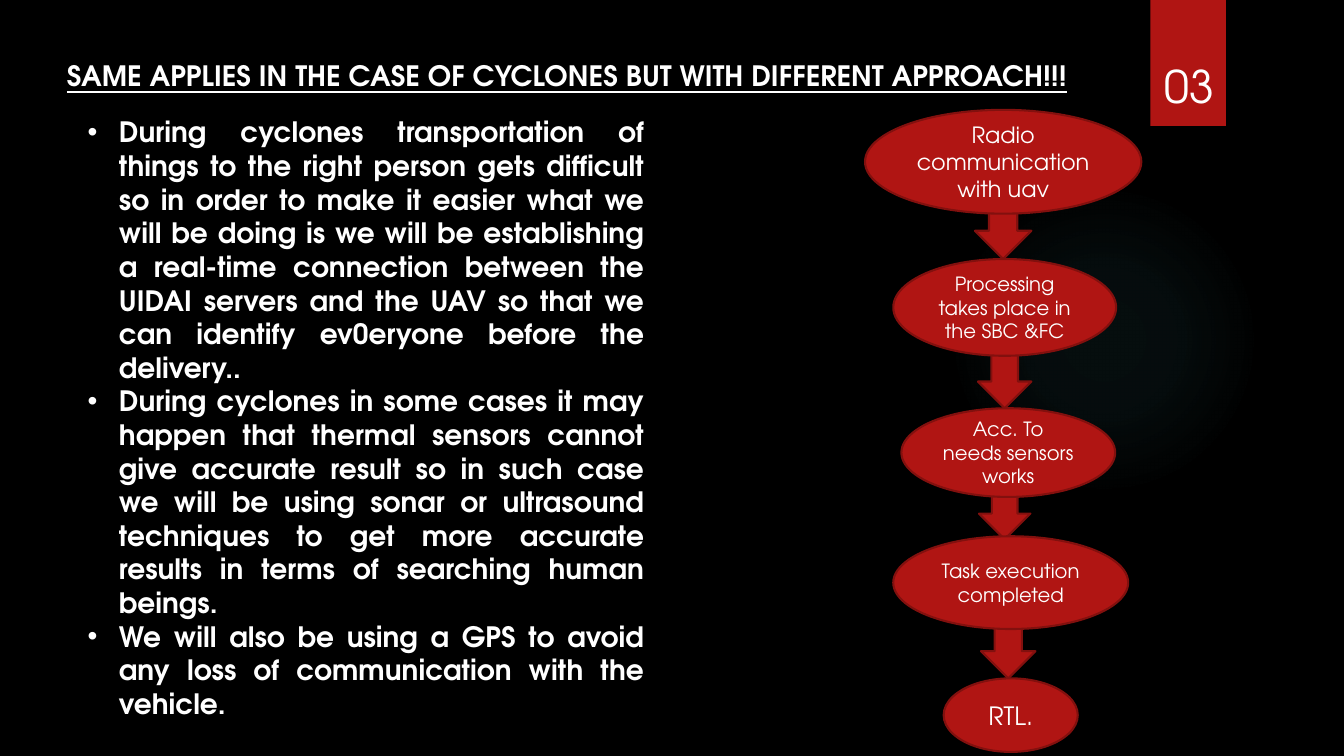
from lxml import etree
from pptx import Presentation
from pptx.dml.color import RGBColor
from pptx.enum.shapes import MSO_SHAPE
from pptx.enum.text import MSO_ANCHOR, MSO_AUTO_SIZE, PP_ALIGN
from pptx.oxml import parse_xml
from pptx.oxml.ns import nsdecls, qn
from pptx.util import Inches, Pt

OVAL, RECTANGLE, DOWN_ARROW = MSO_SHAPE.OVAL, MSO_SHAPE.RECTANGLE, MSO_SHAPE.DOWN_ARROW
TOP, MIDDLE = MSO_ANCHOR.TOP, MSO_ANCHOR.MIDDLE
NO_AUTOFIT = MSO_AUTO_SIZE.NONE
LEFT, CENTER, JUSTIFY = PP_ALIGN.LEFT, PP_ALIGN.CENTER, PP_ALIGN.JUSTIFY

FONT = "TeX Gyre Adventor"
COLORS = {
    "background": "000000",
    "text": "FFFFFF",
    "red": "B01513",
    "outline": "82100E",
    "glow": "50B9C1",
}
BULLETS = [
    "During cyclones transportation of things to the right person gets difficult so in "
    "order to make it easier what we will be doing is we will be establishing a real-time "
    "connection between the UIDAI servers and the UAV so that we can identify ev0eryone "
    "before the delivery..",
    "During cyclones in some cases it may happen that thermal sensors cannot give accurate "
    "result so in such case we will be using sonar or ultrasound techniques to get more "
    "accurate results in terms of searching human beings.",
    "We will also be using a GPS to avoid any loss of communication with the vehicle.",
]
# left, top, width, height, text, size
STEPS = [
    (8.58, 1.09, 2.74, 1.03, "Radio communication with uav", 16),
    (8.86, 2.57, 2.21, 0.96, "Processing takes place in the SBC &FC", 14),
    (8.94, 4.05, 2.12, 0.88, "Acc. To needs sensors works", 14),
    (8.86, 5.32, 2.33, 0.92, "Task execution completed", 14),
    (9.36, 6.73, 1.33, 0.73, "RTL.", 18),
]
# left, top, width, height
ARROWS = [
    (9.67, 1.91, 0.56, 0.66),
    (9.7, 3.39, 0.53, 0.66),
    (9.71, 4.56, 0.51, 0.79),
    (9.73, 6.13, 0.54, 0.6),
]


def add_red_shape(kind, box, outlined=True):
    """Add a flat red preset shape at box, given in inches."""
    shape = slide.shapes.add_shape(kind, *map(Inches, box))
    shape.shadow.inherit = False
    shape.fill.solid()
    shape.fill.fore_color.rgb = RGBColor.from_string(COLORS["red"])
    if outlined:
        shape.line.color.rgb = RGBColor.from_string(COLORS["outline"])
        shape.line.width = Pt(1.5)
    else:
        shape.line.fill.background()
    return shape


def write(paragraph, text, size, alignment, bold=False, underline=False):
    """Add one white run to a paragraph and align it."""
    paragraph.alignment = alignment
    paragraph.line_spacing = 1.0
    paragraph.space_before = paragraph.space_after = Pt(0)
    run = paragraph.add_run()
    run.text = text
    run.font.name = FONT
    run.font.size = Pt(size)
    run.font.bold = bold
    run.font.underline = underline
    run.font.color.rgb = RGBColor.from_string(COLORS["text"])


presentation = Presentation()
presentation.slide_width = Inches(13.33)
presentation.slide_height = Inches(7.5)
slide = presentation.slides.add_slide(presentation.slide_layouts[1])
slide.background.fill.solid()
slide.background.fill.fore_color.rgb = RGBColor.from_string(COLORS["background"])

# Title and bullet list
title, body = slide.shapes.title, slide.placeholders[1]
for placeholder, box in ((title, (0.54, 0.53, 10.17, 0.44)), (body, (0.77, 1.09, 5.72, 6.16))):
    placeholder.left, placeholder.top, placeholder.width, placeholder.height = map(Inches, box)
    placeholder.text_frame.auto_size = NO_AUTOFIT
    placeholder.text_frame.vertical_anchor = TOP
title.text_frame.word_wrap = False
write(title.text_frame.paragraphs[0],
      "SAME APPLIES IN THE CASE OF CYCLONES BUT WITH DIFFERENT APPROACH!!!",
      20, CENTER, bold=True, underline=True)

for index, text in enumerate(BULLETS):
    paragraph = body.text_frame.add_paragraph() if index else body.text_frame.paragraphs[0]
    write(paragraph, text, 20, JUSTIFY, bold=True)
    properties = paragraph._p.get_or_add_pPr()
    properties.set("marL", str(Inches(0.31)))
    properties.set("indent", str(-Inches(0.31)))
    etree.SubElement(properties, qn("a:buFont")).set("typeface", "Arial")
    etree.SubElement(properties, qn("a:buChar")).set("char", "•")

# Faint round glow behind the flow
glow = add_red_shape(OVAL, (9.41, 1.83, 3.08, 3.08), outlined=False)
stops = "".join(
    f'<a:gs pos="{position * 1000}"><a:srgbClr val="{COLORS["glow"]}">'
    f'<a:alpha val="{alpha * 1000}"/></a:srgbClr></a:gs>'
    for position, alpha in ((0, 7), (36, 6), (69, 0))
)
gradient = parse_xml(
    f'<a:gradFill {nsdecls("a")}><a:gsLst>{stops}</a:gsLst><a:path path="circle">'
    '<a:fillToRect l="50000" t="50000" r="50000" b="50000"/></a:path></a:gradFill>'
)
glow_properties = glow._element.spPr
glow_properties.replace(glow_properties.find(qn("a:solidFill")), gradient)

# Slide number on its ribbon
add_red_shape(RECTANGLE, (11.41, 0, 0.75, 1.25), outlined=False)
number = slide.shapes.add_textbox(*map(Inches, (11.45, 0.53, 0.7, 0.64)))
number.text_frame.word_wrap = False
write(number.text_frame.paragraphs[0], "03", 32, LEFT)

# Flow: arrows lie behind the steps
for box in ARROWS:
    add_red_shape(DOWN_ARROW, box)
for *box, text, size in STEPS:
    step = add_red_shape(OVAL, box)
    step.text_frame.word_wrap = True
    step.text_frame.vertical_anchor = MIDDLE
    write(step.text_frame.paragraphs[0], text, size, CENTER)

presentation.save("out.pptx")
